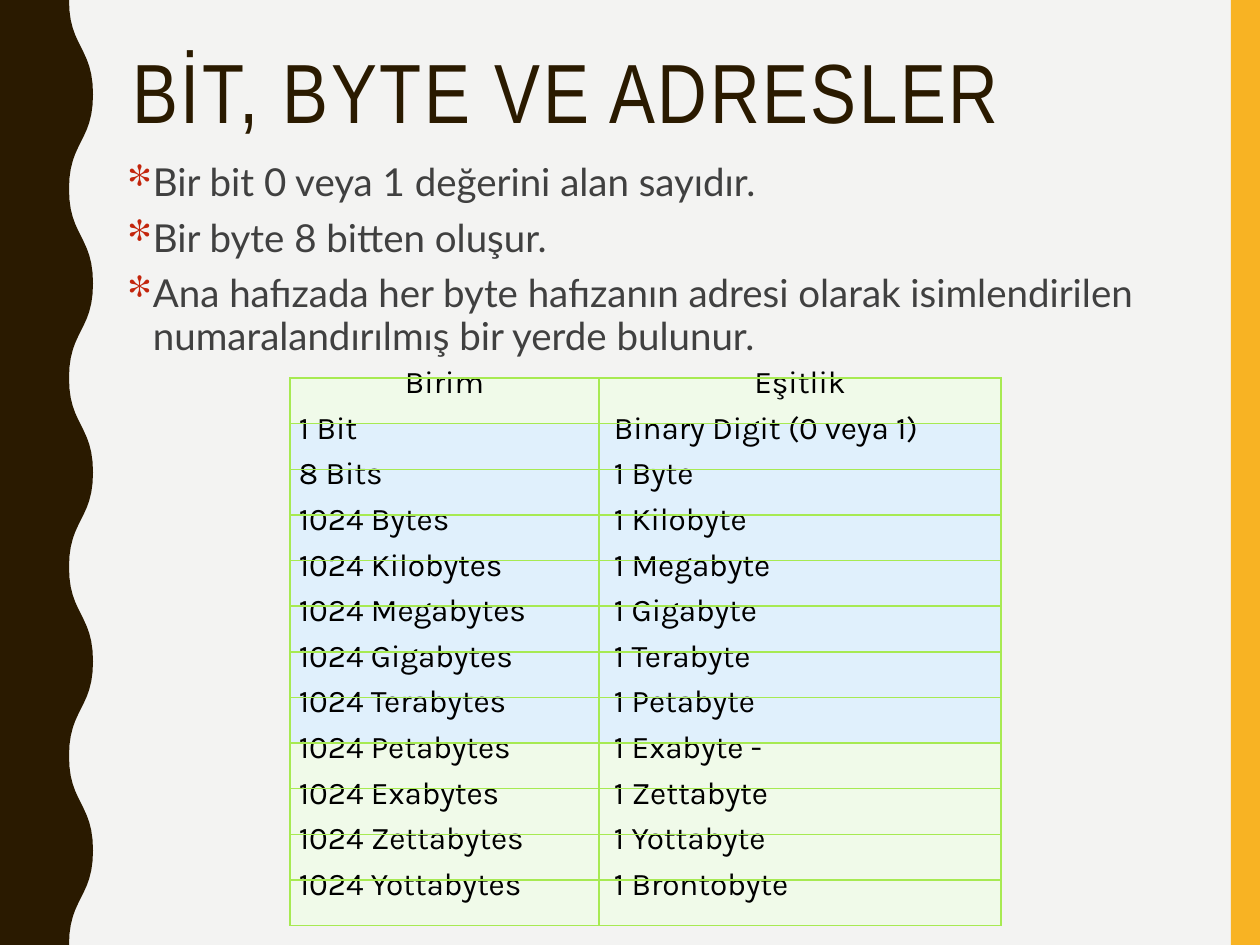
from lxml.etree import SubElement
from pptx import Presentation
from pptx.dml.color import RGBColor
from pptx.enum.shapes import MSO_SHAPE
from pptx.enum.text import PP_ALIGN
from pptx.oxml import parse_xml
from pptx.oxml.ns import nsdecls, qn
from pptx.util import Emu, Pt

BACKGROUND = RGBColor(0xF3, 0xF3, 0xF2)
BROWN = RGBColor(0x2A, 0x1A, 0x00)
YELLOW = RGBColor(0xF8, 0xB3, 0x23)
GREY = RGBColor(0x40, 0x40, 0x40)
RED = RGBColor(0xC3, 0x25, 0x0C)
BLACK = RGBColor(0x00, 0x00, 0x00)
PALE_GREEN = RGBColor(0xF0, 0xFA, 0xE9)
PALE_BLUE = RGBColor(0xE0, 0xF0, 0xFC)
LIME = RGBColor(0xA7, 0xEA, 0x52)


def px(value):
    """Turn pixels, 126 to the inch, into EMU."""
    return Emu(round(value * 914400 / 126))


def write_text(paragraph, text, *, font, size, color, line_spacing,
               align=PP_ALIGN.LEFT, tracking=None):
    paragraph.alignment = align
    paragraph.line_spacing = line_spacing
    run = paragraph.add_run()
    run.text = text
    run.font.name = font
    run.font.size = Pt(size)
    run.font.color.rgb = color
    if tracking:
        run.font._element.set("spc", str(tracking))


presentation = Presentation()
presentation.slide_width = px(1260)
presentation.slide_height = px(945)
slide = presentation.slides.add_slide(presentation.slide_layouts[6])
slide.background.fill.solid()
slide.background.fill.fore_color.rgb = BACKGROUND

# Right band, and left band with a wavy edge
right_band = slide.shapes.add_shape(
    MSO_SHAPE.RECTANGLE, px(1231), 0, px(29), px(945))

TROUGH, CREST, WAVES, STEPS = 69, 93, 5, 12
half_wave = 945 / (2 * WAVES)
edge = [(TROUGH, 0)]
for half in range(2 * WAVES):
    start, end = (TROUGH, CREST) if half % 2 == 0 else (CREST, TROUGH)
    for step in range(1, STEPS + 1):
        t = step / STEPS
        x = start + (end - start) * (3 * t**2 - 2 * t**3)
        y = half_wave * (half + 1.5 * t * (1 - t) + t**3)
        edge.append((x, y))
builder = slide.shapes.build_freeform(0, 0)
builder.add_line_segments([(px(x), px(y)) for x, y in edge + [(0, 945)]])
wavy_band = builder.convert_to_shape()

for band, color in ((right_band, YELLOW), (wavy_band, BROWN)):
    band.shadow.inherit = False
    band.fill.solid()
    band.fill.fore_color.rgb = color
    band.line.fill.background()

# Bulleted statements
statements = [
    "Bir bit 0 veya 1 değerini alan sayıdır.",
    "Bir byte 8 bitten oluşur.",
    "Ana hafızada her byte hafızanın adresi olarak isimlendirilen "
    "numaralandırılmış bir yerde bulunur.",
]
body = slide.shapes.add_textbox(px(126), px(144), px(1040), px(215)).text_frame
body.word_wrap = True
body.margin_left = body.margin_right = body.margin_bottom = 0
body.margin_top = px(18)
for index, statement in enumerate(statements):
    paragraph = body.add_paragraph() if index else body.paragraphs[0]
    write_text(paragraph, statement, font="Lato", size=22, color=GREY,
               line_spacing=Pt(24.4))
    if index:
        paragraph.space_before = Pt(7.2)
    properties = paragraph._p.get_or_add_pPr()
    properties.set("marL", str(px(27)))
    properties.set("indent", str(-px(25)))
    bullet_color = SubElement(properties, qn("a:buClr"))
    SubElement(bullet_color, qn("a:srgbClr"), val=str(RED))
    SubElement(properties, qn("a:buSzPct"), val="130000")
    SubElement(properties, qn("a:buFont"), typeface="TeX Gyre Schola")
    SubElement(properties, qn("a:buChar"), char="*")

# Table of units
units = [
    ("Birim", "Eşitlik"),
    ("1 Bit", "Binary Digit (0 veya 1)"),
    ("8 Bits", "1 Byte"),
    ("1024 Bytes", "1 Kilobyte"),
    ("1024 Kilobytes", "1 Megabyte"),
    ("1024 Megabytes", "1 Gigabyte"),
    ("1024 Gigabytes", "1 Terabyte"),
    ("1024 Terabytes", "1 Petabyte"),
    ("1024 Petabytes", "1 Exabyte -"),
    ("1024 Exabytes", "1 Zettabyte"),
    ("1024 Zettabytes", "1 Yottabyte"),
    ("1024 Yottabytes", "1 Brontobyte"),
]
BLUE_ROWS = range(1, 8)
COLUMN_WIDTHS = (309, 402)
COLUMN_INDENTS = (9, 15)

table = slide.shapes.add_table(
    len(units), 2, px(290), px(378), px(sum(COLUMN_WIDTHS)), px(548)).table
table.first_row = table.horz_banding = False
for column, width in zip(table.columns, COLUMN_WIDTHS):
    column.width = px(width)

for row, names in enumerate(units):
    for column, name in enumerate(names):
        is_header = row == 0
        cell = table.cell(row, column)
        cell.margin_top = cell.margin_right = cell.margin_bottom = 0
        cell.margin_left = 0 if is_header else px(COLUMN_INDENTS[column])
        write_text(cell.text_frame.paragraphs[0], name, font="Karla", size=18,
                   color=BLACK, line_spacing=Pt(13.4),
                   align=PP_ALIGN.CENTER if is_header else PP_ALIGN.LEFT,
                   tracking=None if is_header else -5)
        cell.fill.solid()
        cell.fill.fore_color.rgb = PALE_BLUE if row in BLUE_ROWS else PALE_GREEN
        cell_properties = cell._tc.get_or_add_tcPr()
        for position, side in enumerate(("lnL", "lnR", "lnT", "lnB")):
            cell_properties.insert(position, parse_xml(
                f'<a:{side} {nsdecls("a")} w="{Pt(1)}"><a:solidFill>'
                f'<a:srgbClr val="{LIME}"/></a:solidFill></a:{side}>'))

# Title
title = slide.shapes.add_textbox(px(120), px(45), px(1052), px(205)).text_frame
title.word_wrap = True
write_text(title.paragraphs[0], "BİT, BYTE VE ADRESLER", font="Arial Narrow",
           size=48, color=BROWN, line_spacing=0.9, tracking=150)

presentation.save("out.pptx")
